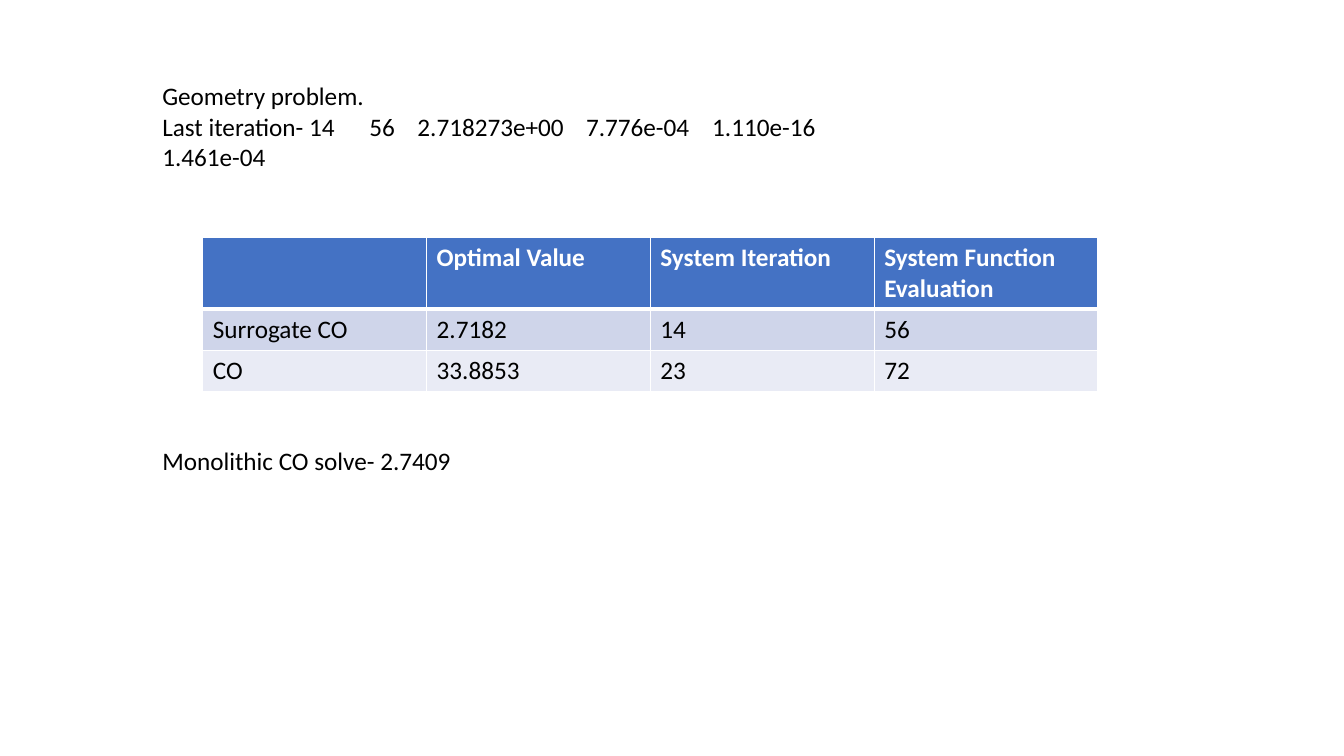
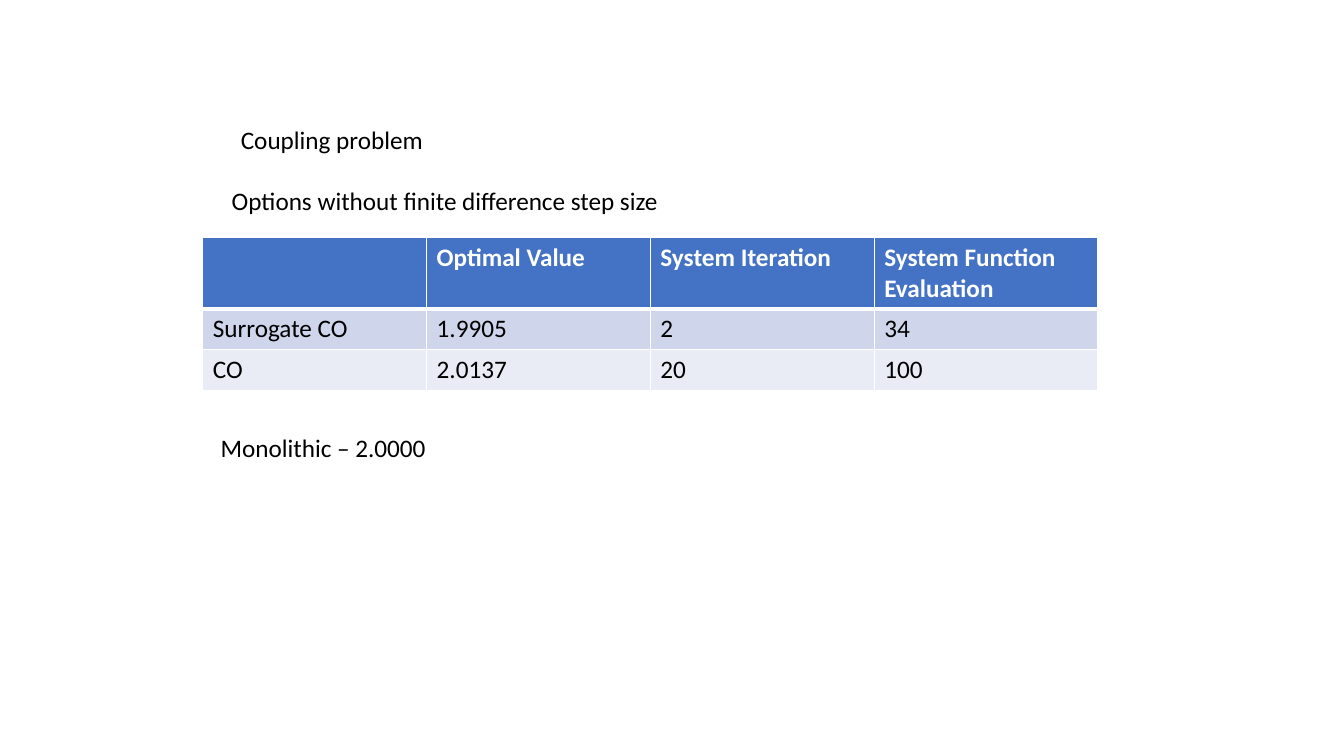
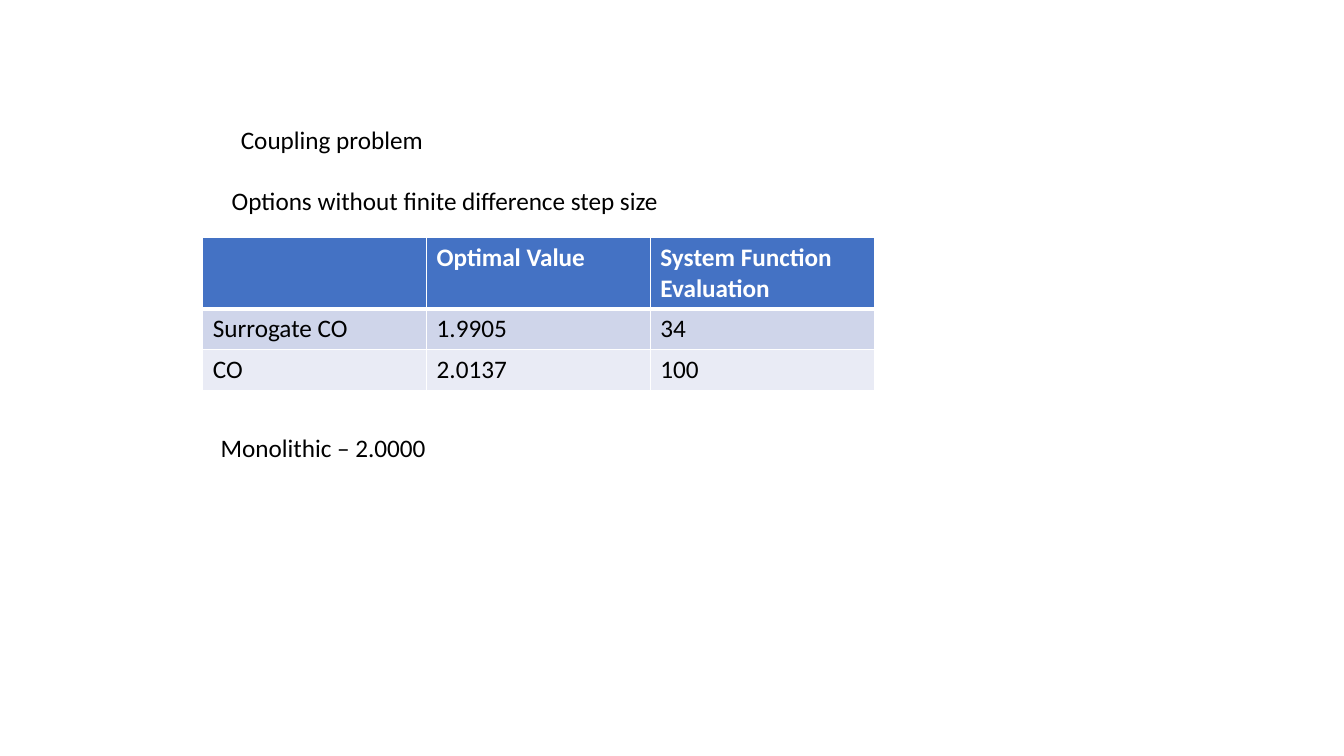
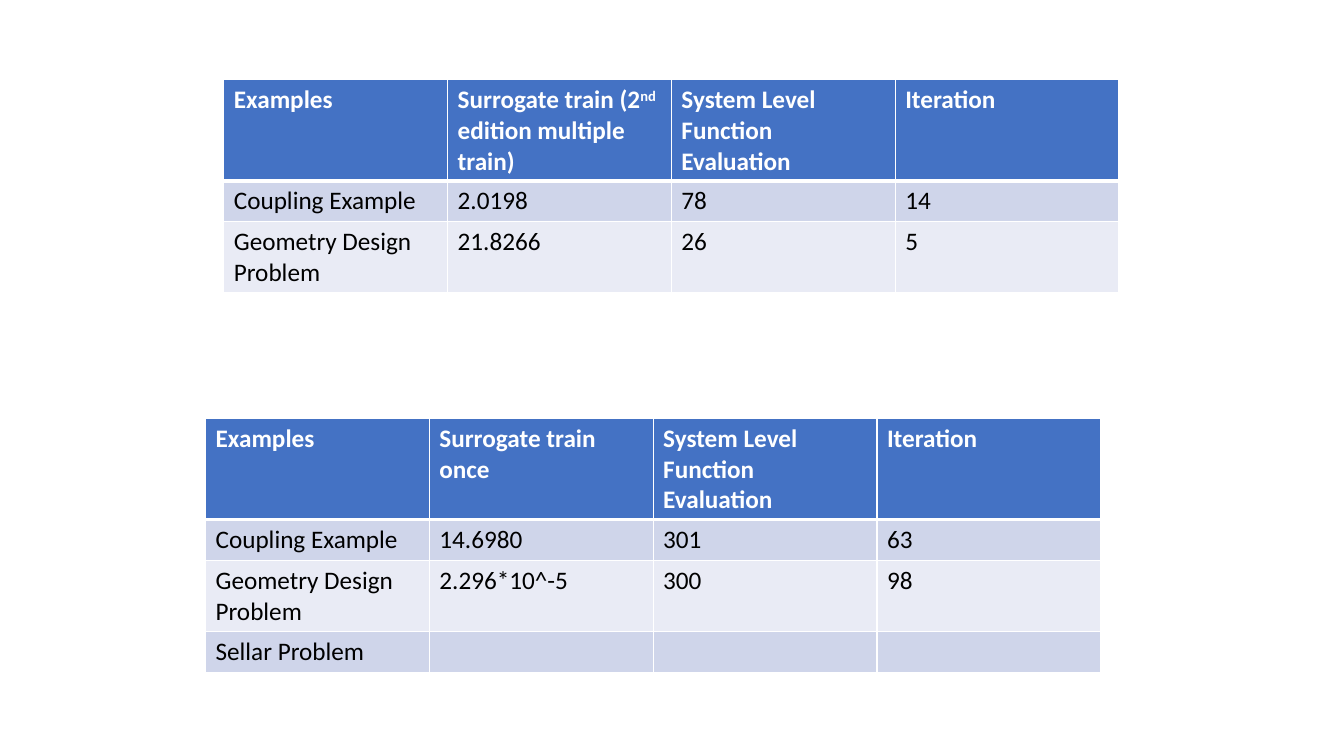
from lxml import etree
from pptx import Presentation
from pptx.dml.color import RGBColor
from pptx.enum.text import MSO_AUTO_SIZE
from pptx.oxml.ns import qn
from pptx.util import Cm, Pt

FIT_SHAPE = MSO_AUTO_SIZE.SHAPE_TO_FIT_TEXT

# Shared look
WHITE, BLACK, BLUE = "FFFFFF", "000000", "4472C4"
BANDS = ("CFD5EA", "E9EBF5")
BASE_FORMAT = {"name": "Calibri", "size": Pt(18)}
HEADER_FORMAT = {**BASE_FORMAT, "bold": True}
BODY_FORMAT = {**BASE_FORMAT, "bold": False}
FRAME_FORMAT = {"word_wrap": True, "auto_size": FIT_SHAPE}

# Table measures in centimetres
COLUMN_WIDTH = 5.64
ROW_HEIGHT = 1.03
EXTRA_LINE = 0.76
TABLE_LEFT, TABLE_TOP = 5.11, 5.99

# Column starts of the iteration record, in centimetres from the text edge
ITERATION_TABS = (5.22, 6.43, 10.68, 13.86)


def color(value):
    return RGBColor.from_string(value)


def apply_format(target, values):
    for name, value in values.items():
        setattr(target, name, value)


def style_run(run, values, text_color):
    apply_format(run.font, values)
    run.font.color.rgb = color(text_color)


def add_tab_stops(paragraph, positions):
    tab_list = etree.SubElement(paragraph._p.get_or_add_pPr(), qn("a:tabLst"))
    for position in positions:
        etree.SubElement(tab_list, qn("a:tab"), pos=str(Cm(position)), algn="l")


def add_text(slide, left, top, width, height, lines, tabs=()):
    shape = slide.shapes.add_textbox(Cm(left), Cm(top), Cm(width), Cm(height))
    frame = shape.text_frame
    apply_format(frame, FRAME_FORMAT)
    frame.text = "\n".join(lines)
    for paragraph in frame.paragraphs:
        if tabs:
            add_tab_stops(paragraph, tabs)
        for run in paragraph.runs:
            style_run(run, BASE_FORMAT, BLACK)


def add_borders(cell, widths):
    properties = cell._tc.get_or_add_tcPr()
    for side, width in widths.items():
        line = etree.SubElement(properties, qn(f"a:ln{side}"), w=str(Pt(width)))
        fill = etree.SubElement(line, qn("a:solidFill"))
        etree.SubElement(fill, qn("a:srgbClr"), val=WHITE)


def fill_cell(cell, content, row_index):
    """Content is a string, or a tuple whose every second part is raised."""
    is_header = row_index == 0
    add_borders(cell, {"L": 1, "R": 1,
                       "T": 3 if row_index == 1 else 1,
                       "B": 3 if is_header else 1})
    cell.fill.solid()
    cell.fill.fore_color.rgb = color(BLUE if is_header else BANDS[(row_index - 1) % 2])
    parts = (content,) if isinstance(content, str) else content
    for index, part in enumerate(parts):
        if not part:
            continue
        run = cell.text_frame.paragraphs[0].add_run()
        run.text = part
        style_run(run, HEADER_FORMAT if is_header else BODY_FORMAT,
                  WHITE if is_header else BLACK)
        if index % 2:
            run._r.get_or_add_rPr().set("baseline", "30000")


def add_data_table(slide, left, top, rows, line_counts):
    heights = [ROW_HEIGHT + EXTRA_LINE * (count - 1) for count in line_counts]
    column_count = len(rows[0])
    table = slide.shapes.add_table(
        len(rows), column_count, Cm(left), Cm(top),
        Cm(COLUMN_WIDTH * column_count), Cm(sum(heights))).table
    for column in table.columns:
        column.width = Cm(COLUMN_WIDTH)
    for row_index, (row, height) in enumerate(zip(rows, heights)):
        table.rows[row_index].height = Cm(height)
        for column_index, content in enumerate(row):
            fill_cell(table.cell(row_index, column_index), content, row_index)


def add_comparison(slide, headings, surrogate, plain):
    rows = [("", *headings), ("Surrogate CO", *surrogate), ("CO", *plain)]
    add_data_table(slide, TABLE_LEFT, TABLE_TOP, rows, (2, 1, 1))


def add_geometry_slide(slide):
    add_comparison(slide,
                   ("Optimal Value", "System Iteration", "System Function Evaluation"),
                   ("2.7182", "14", "56"), ("33.8853", "23", "72"))
    add_text(slide, 3.84, 1.91, 18.19, 3.33,
             ["Geometry problem.",
              "Last iteration- 14\t56\t2.718273e+00\t7.776e-04\t1.110e-16\v1.461e-04"],
             ITERATION_TABS)
    add_text(slide, 3.84, 11.1, 18.42, 1.02, ["Monolithic CO solve- 2.7409"])


def add_coupling_slide(slide, headings, surrogate, plain):
    add_comparison(slide, headings, surrogate, plain)
    add_text(slide, 5.82, 3.02, 14.73, 1.02, ["Coupling problem"])
    add_text(slide, 5.31, 10.77, 16.94, 1.02, ["Monolithic – 2.0000"])
    add_text(slide, 5.59, 4.55, 18.62, 1.02,
             ["Options without finite difference step size"])


def add_training_slide(slide):
    def headings(training):
        return ("Examples", training, "System Level Function Evaluation", "Iteration")

    add_data_table(slide, 5.64, 2.01, [
        headings(("Surrogate train (2", "nd", " edition multiple train)")),
        ("Coupling Example", "2.0198", "78", "14"),
        ("Geometry Design Problem", "21.8266", "26", "5"),
    ], (3, 1, 2))
    add_data_table(slide, 5.18, 10.54, [
        headings("Surrogate train once"),
        ("Coupling Example", "14.6980", "301", "63"),
        ("Geometry Design Problem", "2.296*10^-5", "300", "98"),
        ("Sellar Problem", "", "", ""),
    ], (3, 1, 2, 1))


def main():
    presentation = Presentation()
    presentation.slide_width, presentation.slide_height = Cm(33.87), Cm(19.05)
    blank = presentation.slide_layouts[6]
    slides = [presentation.slides.add_slide(blank) for _ in range(4)]

    add_geometry_slide(slides[0])
    add_coupling_slide(slides[1],
                       ("Optimal Value", "System Iteration", "System Function Evaluation"),
                       ("1.9905", "2", "34"), ("2.0137", "20", "100"))
    add_coupling_slide(slides[2],
                       ("Optimal Value", "System Function Evaluation"),
                       ("1.9905", "34"), ("2.0137", "100"))
    add_training_slide(slides[3])
    presentation.save("out.pptx")


if __name__ == "__main__":
    main()
